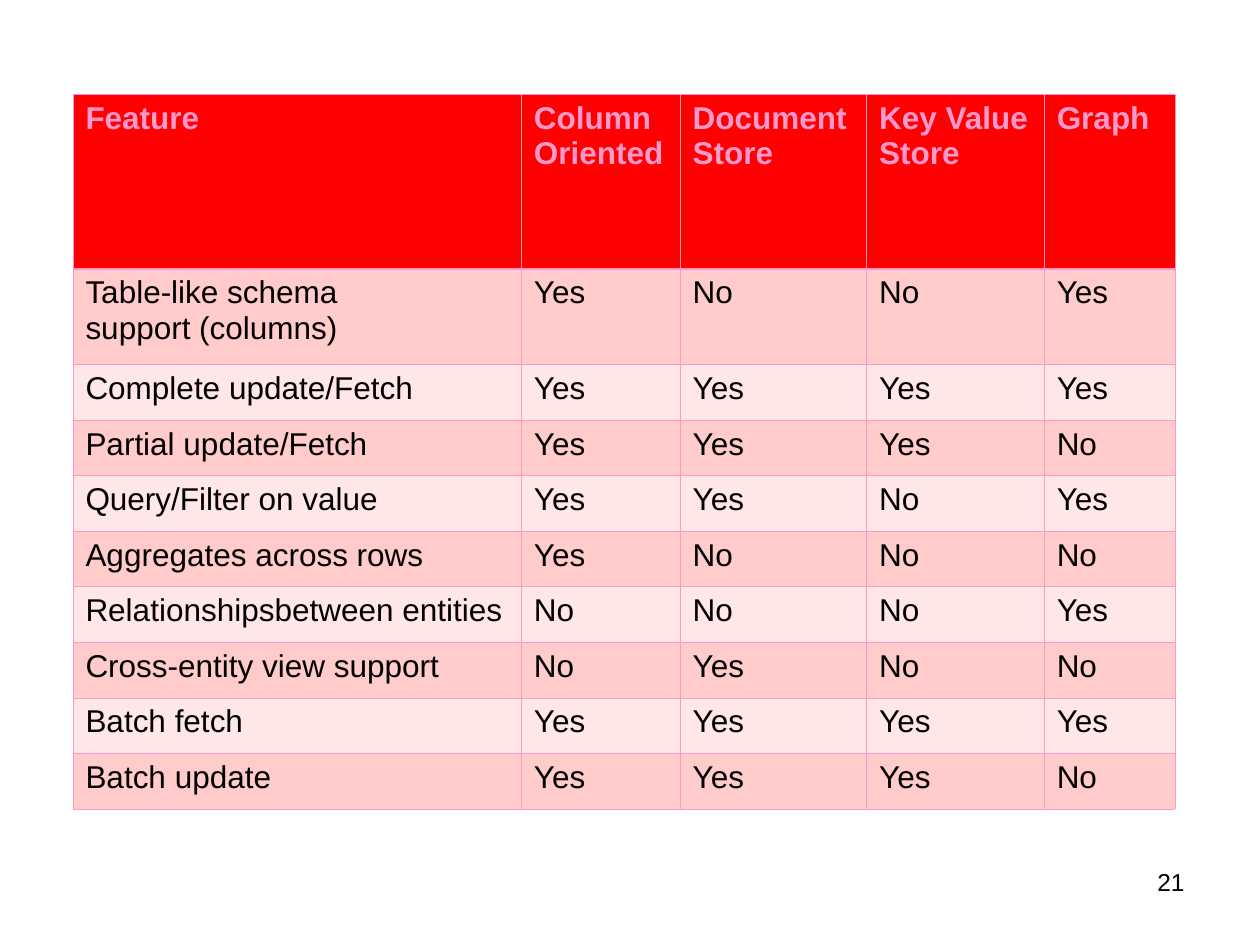
import pptx
import pptx.dml.color
import pptx.enum.text
import pptx.oxml
import pptx.oxml.ns
import pptx.util

Cm = pptx.util.Cm
Pt = pptx.util.Pt

COLOURS = {
    "header": "FF0000",
    "odd_row": "FFCBCB",
    "even_row": "FFE7E7",
    "pink": "FF99CC",
    "black": "000000",
}
FORMATS = {
    "header": {"name": "Arial", "size": Pt(18), "bold": True},
    "body": {"name": "Arial", "size": Pt(18), "bold": False},
    "number": {"name": "Arial", "size": Pt(14), "bold": False},
}
THIN, THICK = 0.45, 1.47

COLUMN_WIDTHS = [9.04, 3.2, 3.76, 3.58, 2.64]
HEADER_HEIGHT, TALL_HEIGHT, ROW_HEIGHT = 3.51, 1.93, 1.12

FEATURES = [
    ["Feature", "Column\nOriented", "Document Store", "Key Value\nStore", "Graph"],
    ["Table-like schema\nsupport (columns)", "Yes", "No", "No", "Yes"],
    ["Complete update/Fetch", "Yes", "Yes", "Yes", "Yes"],
    ["Partial update/Fetch", "Yes", "Yes", "Yes", "No"],
    ["Query/Filter on value", "Yes", "Yes", "No", "Yes"],
    ["Aggregates across rows", "Yes", "No", "No", "No"],
    ["Relationshipsbetween entities", "No", "No", "No", "Yes"],
    ["Cross-entity view support", "No", "Yes", "No", "No"],
    ["Batch fetch", "Yes", "Yes", "Yes", "Yes"],
    ["Batch update", "Yes", "Yes", "Yes", "No"],
]


class SlideBuilder:
    """Holds the style and the current slide."""

    def __init__(self, slide, colours, formats):
        self.slide = slide
        self.colours = colours
        self.formats = formats

    def colour(self, name):
        return pptx.dml.color.RGBColor.from_string(self.colours[name])

    def fill_text(self, frame, text, style, colour, align=None):
        frame.text = text
        for para in frame.paragraphs:
            para.alignment = align
            for span in para.runs:
                for key, value in self.formats[style].items():
                    setattr(span.font, key, value)
                span.font.color.rgb = self.colour(colour)

    def border(self, cell, side, width):
        line = pptx.oxml.parse_xml(
            f'<a:ln{side} {pptx.oxml.ns.nsdecls("a")} w="{int(Pt(width))}">'
            f'<a:solidFill><a:srgbClr val="{self.colours["pink"]}"/></a:solidFill>'
            f'</a:ln{side}>'
        )
        cell._tc.get_or_add_tcPr().append(line)

    def table(self, left, top, widths, heights, rows):
        frame = self.slide.shapes.add_table(
            len(rows), len(widths), Cm(left), Cm(top), Cm(sum(widths)), Cm(sum(heights))
        )
        table = frame.table
        table.horz_banding = False
        for column, width in zip(table.columns, widths):
            column.width = Cm(width)
        for row, height in zip(table.rows, heights):
            row.height = Cm(height)

        for index, values in enumerate(rows):
            # The header row has its own look; the others alternate
            if index == 0:
                style, ink, fill = "header", "pink", "header"
            else:
                style, ink = "body", "black"
                fill = "odd_row" if index % 2 else "even_row"
            # A thicker line parts the header from the body
            borders = {
                "L": THIN,
                "R": THIN,
                "T": THICK if index == 1 else THIN,
                "B": THICK if index == 0 else THIN,
            }
            for cell, value in zip(table.rows[index].cells, values):
                self.fill_text(cell.text_frame, value, style, ink)
                for side, width in borders.items():
                    self.border(cell, side, width)
                cell.fill.solid()
                cell.fill.fore_color.rgb = self.colour(fill)

    def text(self, left, top, width, height, text, style, align):
        box = self.slide.shapes.add_textbox(Cm(left), Cm(top), Cm(width), Cm(height))
        box.text_frame.word_wrap = True
        self.fill_text(box.text_frame, text, style, "black", align)


def main():
    deck = pptx.Presentation()
    deck.slide_width, deck.slide_height = Cm(25.4), Cm(19.05)
    page = SlideBuilder(deck.slides.add_slide(deck.slide_layouts[6]), COLOURS, FORMATS)

    # Feature comparison
    heights = [HEADER_HEIGHT, TALL_HEIGHT] + [ROW_HEIGHT] * (len(FEATURES) - 2)
    page.table(1.47, 1.91, COLUMN_WIDTHS, heights, FEATURES)

    # Slide number
    page.text(18.21, 17.35, 5.92, 1.32, "21", "number", pptx.enum.text.PP_ALIGN.RIGHT)

    deck.save("out.pptx")


if __name__ == "__main__":
    main()
